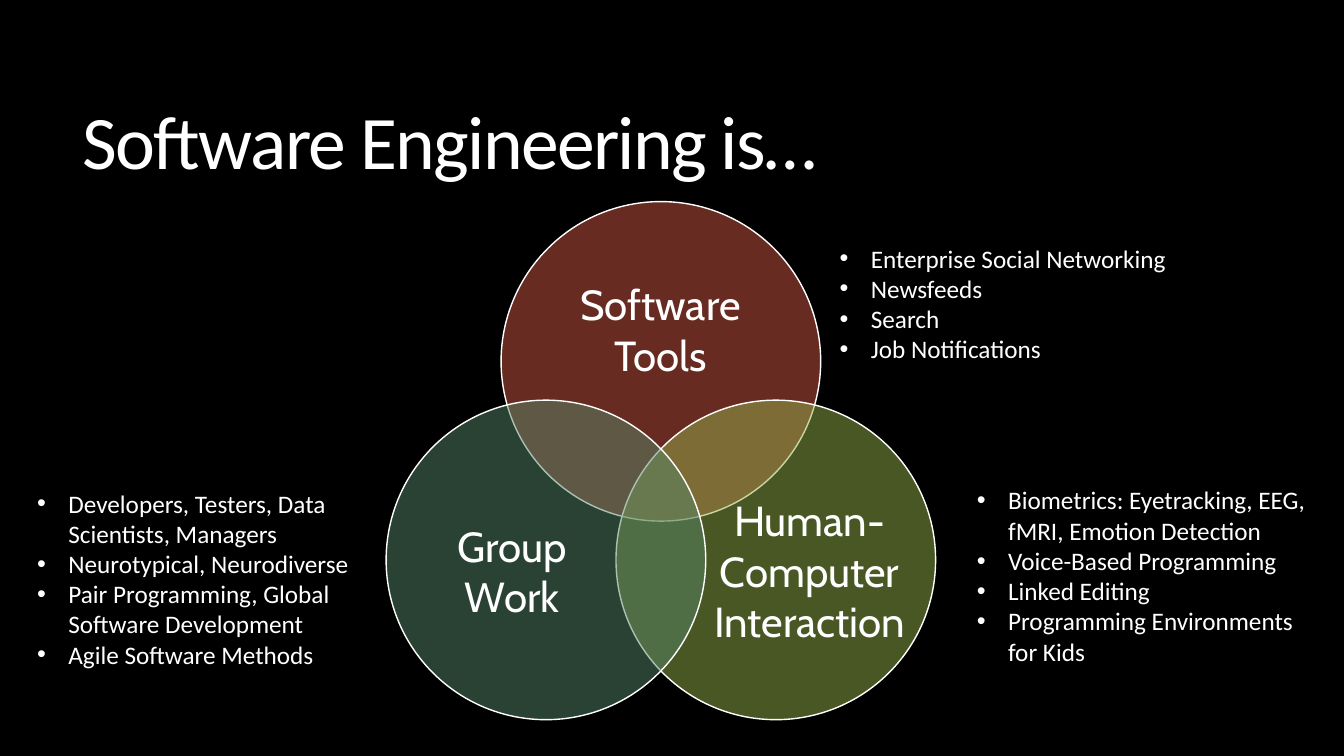
from lxml import etree
from pptx import Presentation
from pptx.dml.color import RGBColor
from pptx.enum.shapes import MSO_SHAPE
from pptx.enum.text import MSO_ANCHOR, MSO_AUTO_SIZE, PP_ALIGN
from pptx.oxml.ns import qn
from pptx.util import Inches, Pt

ELLIPSE = MSO_SHAPE.OVAL
MIDDLE = MSO_ANCHOR.MIDDLE
NO_FIT, GROW = MSO_AUTO_SIZE.NONE, MSO_AUTO_SIZE.SHAPE_TO_FIT_TEXT
LEFT, CENTER = PP_ALIGN.LEFT, PP_ALIGN.CENTER
TITLE_ONLY = 5


def rgb(value):
    return RGBColor.from_string(value)


class SlideBuilder:
    text_color = "FFFFFF"
    body_font = "Calibri"
    label_font = "Cabin"
    indent = Inches(0.31)

    def __init__(self, prs, background):
        self.slide = prs.slides.add_slide(prs.slide_layouts[TITLE_ONLY])
        fill = self.slide.background.fill
        fill.solid()
        fill.fore_color.rgb = rgb(background)

    def style(self, p, font, size, align=LEFT):
        p.alignment = align
        p.font.name = font
        p.font.size = Pt(size)
        p.font.color.rgb = rgb(self.text_color)

    def title(self, text, box):
        sp = self.slide.shapes.title
        sp.left, sp.top, sp.width, sp.height = map(Inches, box)
        tf = sp.text_frame
        tf.text = text
        tf.auto_size = NO_FIT
        tf.vertical_anchor = MIDDLE
        p = tf.paragraphs[0]
        self.style(p, self.body_font, 54)
        p.line_spacing = 0.85
        p.runs[0].font.bold = False
        p.runs[0]._r.get_or_add_rPr().set("spc", "-120")

    def circle(self, left, top, size, color):
        sp = self.slide.shapes.add_shape(
            ELLIPSE, Inches(left), Inches(top), Inches(size), Inches(size))
        sp.shadow.inherit = False
        sp.fill.solid()
        sp.fill.fore_color.rgb = rgb(color)
        clr = sp._element.spPr.find(qn("a:solidFill")).find(qn("a:srgbClr"))
        etree.SubElement(clr, qn("a:alpha")).set("val", "50000")
        sp.line.color.rgb = rgb(self.text_color)
        sp.line.width = Pt(1)

    def label(self, text, box):
        tf = self.slide.shapes.add_textbox(*map(Inches, box)).text_frame
        tf.word_wrap = True
        tf.vertical_anchor = MIDDLE
        tf.margin_left = tf.margin_right = tf.margin_top = tf.margin_bottom = 0
        tf.text = text
        self.style(tf.paragraphs[0], self.label_font, 30, CENTER)

    def bullets(self, items, box, wrap=True):
        tf = self.slide.shapes.add_textbox(*map(Inches, box)).text_frame
        tf.word_wrap = wrap
        tf.auto_size = GROW
        tf.text = "\n".join(items)
        for p in tf.paragraphs:
            self.style(p, self.body_font, 18)
            pPr = p._p.get_or_add_pPr()
            pPr.set("marL", str(self.indent))
            pPr.set("indent", str(-self.indent))
            bu_font = etree.Element(qn("a:buFont"), typeface="Arial")
            bu_char = etree.Element(qn("a:buChar"), char="•")
            pPr.insert(0, bu_font)
            pPr.insert(1, bu_char)


prs = Presentation()
prs.slide_width, prs.slide_height = Inches(13.33), Inches(7.5)
builder = SlideBuilder(prs, "000000")
builder.title("Software Engineering is…", (0.72, 0.55, 11.78, 1.81))

# Venn diagram: circle position and color, then its label
DIAMETER = 3.17
TOP_X, TOP_Y = 4.97, 2
SHIFT_X, SHIFT_Y = 1.14, 1.97
LOW_Y = TOP_Y + SHIFT_Y
venn = [
    (TOP_X, TOP_Y, "D05745", "Software Tools", (5.39, 2.55, 2.32, 1.43)),
    (TOP_X + SHIFT_X, LOW_Y, "93AE49", "Human-Computer Interaction",
     (7.08, 4.79, 1.9, 1.74)),
    (TOP_X - SHIFT_X, LOW_Y, "558569", "Group Work", (4.13, 4.79, 1.9, 1.74)),
]
for left, top, color, text, label_box in venn:
    builder.circle(left, top, DIAMETER, color)
    builder.label(text, label_box)

# Topic lists beside the circles
builder.bullets(
    ["Developers, Testers, Data Scientists, Managers",
     "Neurotypical, Neurodiverse",
     "Pair Programming, Global Software Development",
     "Agile Software Methods"],
    (0.27, 4.79, 3.35, 1.92))
builder.bullets(
    ["Biometrics: Eyetracking, EEG, fMRI, Emotion Detection",
     "Voice-Based Programming",
     "Linked Editing",
     "Programming Environments for Kids"],
    (9.59, 4.76, 3.52, 1.92))
builder.bullets(
    ["Enterprise Social Networking", "Newsfeeds", "Search",
     "Job Notifications"],
    (8.23, 2.36, 3.44, 1.31), wrap=False)

prs.save("out.pptx")
